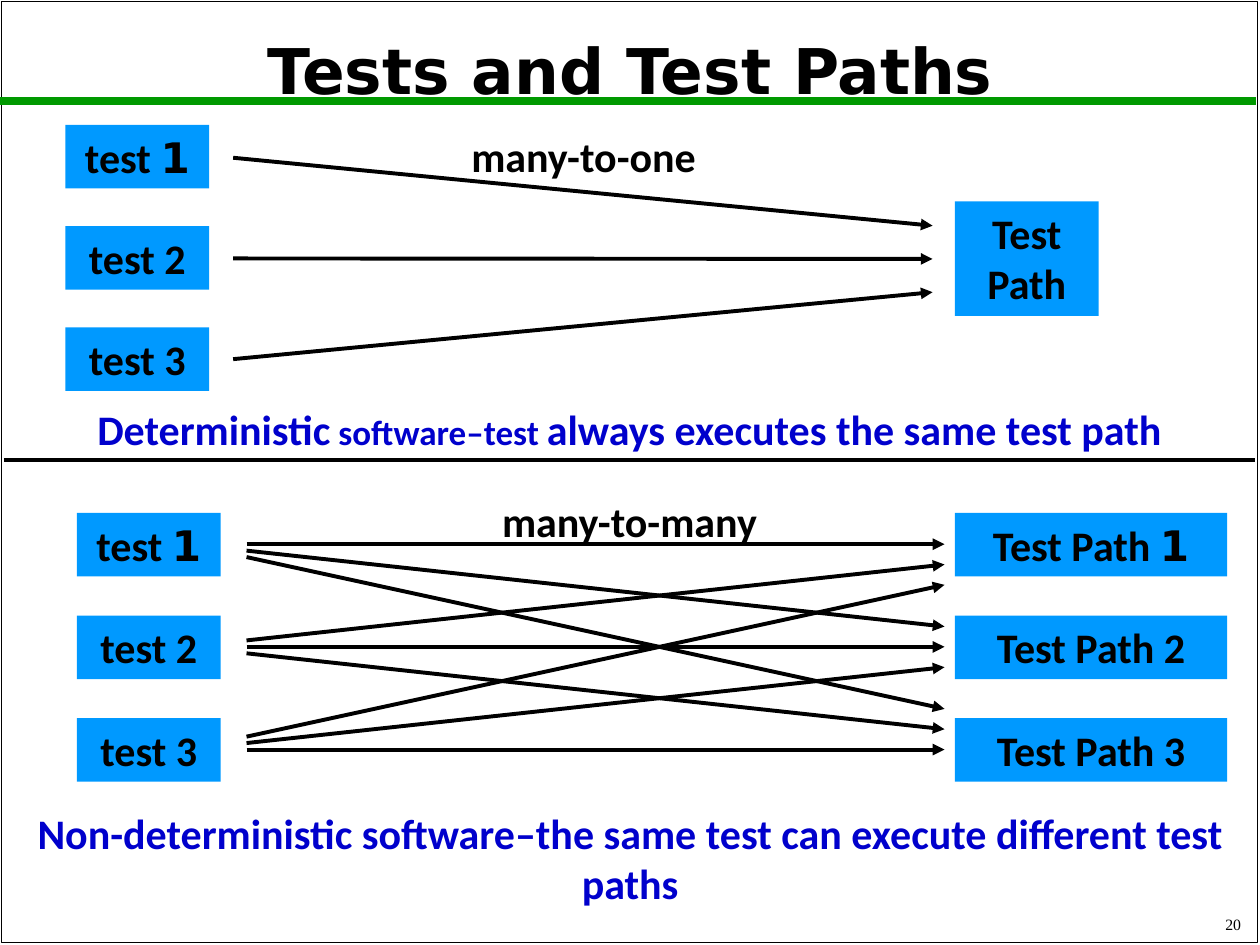
from lxml import etree
from pptx import Presentation
from pptx import util as u
from pptx.dml.color import RGBColor
from pptx.enum import shapes, text
from pptx.oxml import ns


def color(value):
    return RGBColor.from_string(value)


class Diagram:
    ink, blue, caption_blue, green = "000000", "0099FF", "0000CC", "009900"
    style = {"name": "Calibri", "size": 24, "bold": True, "color": ink}

    def __init__(self, slide):
        self.slide = slide

    def add_words(self, shape, runs, align=text.PP_ALIGN.CENTER,
                  anchor=text.MSO_ANCHOR.TOP, line_spacing=None, **style):
        """Fill a shape with one paragraph of (wording, style changes) runs."""
        frame = shape.text_frame
        frame.word_wrap = True
        frame.vertical_anchor = anchor
        paragraph = frame.paragraphs[0]
        paragraph.alignment = align
        paragraph.line_spacing = line_spacing
        if isinstance(runs, str):
            runs = [(runs, {})]
        for wording, changes in runs:
            run = paragraph.add_run()
            run.text = wording
            values = {**self.style, **style, **changes}
            run.font.color.rgb = color(values.pop("color"))
            values["size"] = u.Pt(values["size"])
            for name, value in values.items():
                setattr(run.font, name, value)

    def label(self, place, runs, **style):
        shape = self.slide.shapes.add_textbox(*map(u.Cm, place))
        self.add_words(shape, runs, **style)

    def rectangle(self, place, fill=None, line=None):
        shape = self.slide.shapes.add_shape(
            shapes.MSO_SHAPE.RECTANGLE, *map(u.Cm, place))
        shape.shadow.inherit = False
        for part, value in ((shape.fill, fill), (shape.line.fill, line)):
            if value:
                part.solid()
                part.fore_color.rgb = color(value)
            else:
                part.background()
        if line:
            shape.line.width = u.Pt(1)
        return shape

    def box(self, place, runs):
        self.add_words(self.rectangle(place, fill=self.blue), runs)

    def line(self, start, end, stroke=ink, width=2.25, arrow=False):
        connector = self.slide.shapes.add_connector(
            shapes.MSO_CONNECTOR.STRAIGHT, *map(u.Cm, (*start, *end)))
        connector.line.color.rgb = color(stroke)
        connector.line.width = u.Pt(width)
        properties = connector._element.spPr
        if arrow:
            outline = properties.find(ns.qn("a:ln"))
            etree.SubElement(outline, ns.qn("a:tailEnd"), type="triangle")
        etree.SubElement(properties, ns.qn("a:effectLst"))


presentation = Presentation()
presentation.slide_width, presentation.slide_height = u.Cm(25.4), u.Cm(19.05)
diagram = Diagram(presentation.slides.add_slide(presentation.slide_layouts[6]))

# Frame, title and slide number
diagram.rectangle((0.03, 0.03, 25.32, 18.97), line=diagram.ink)
diagram.line((0, 2.03), (25.32, 2.03), diagram.green, 4.5)
diagram.label((0.13, 0.28, 25.15, 2.41), "Tests and Test Paths",
              anchor=text.MSO_ANCHOR.MIDDLE, line_spacing=0.9,
              name="DejaVu Sans", size=36)
diagram.label((19.99, 18.21, 5.28, 0.74), "20", align=text.PP_ALIGN.RIGHT,
              anchor=text.MSO_ANCHOR.BOTTOM, name="Times New Roman",
              size=9, bold=False)

# Box sizes and numbering shared by both halves
box_height, test_width, path_width, path_left = 1.28, 2.9, 5.49, 19.25
numbers = [("1", {"name": "DejaVu Sans"}), ("2", {}), ("3", {})]

# Deterministic: three tests lead to one path
for row, number in enumerate(numbers):
    diagram.box((1.32, 2.52 + 2.04 * row, test_width, box_height),
                [("test ", {}), number])
    diagram.line((4.7, 3.18 + 2.03 * row), (18.8, 4.55 + 0.67 * row),
                 arrow=True)
diagram.box((path_left, 4.06, test_width, 2.31), "Test Path")
diagram.label((8.97, 2.51, 5.59, box_height), "many-to-one")
diagram.label((0.08, 8, 25.22, box_height),
              [("Deterministic", {}), (" software–test ", {"size": 20}),
               ("always executes the same test path", {})],
              color=diagram.caption_blue)
diagram.line((0.08, 9.27), (25.3, 9.27))

# Non-deterministic: every test leads to every path
step, first_top, first_middle = 2.07, 10.34, 10.97
diagram.label((7.57, 9.86, 10.24, box_height), "many-to-many")
for test, number in enumerate(numbers):
    top = first_top + step * test
    diagram.box((1.55, top, test_width, box_height), [("test ", {}), number])
    diagram.box((path_left, top, path_width, box_height),
                [("Test Path ", {}), number])
    for path_row in range(len(numbers)):
        start = first_middle + step * test + 0.13 * (path_row - test)
        end = first_middle + step * path_row + 0.41 * (test - path_row)
        diagram.line((4.97, start), (19.04, end), arrow=True)
diagram.label((0.36, 16.15, 24.69, 2.31),
              "Non-deterministic software–the same test can execute "
              "different test paths", color=diagram.caption_blue)

presentation.save("out.pptx")
